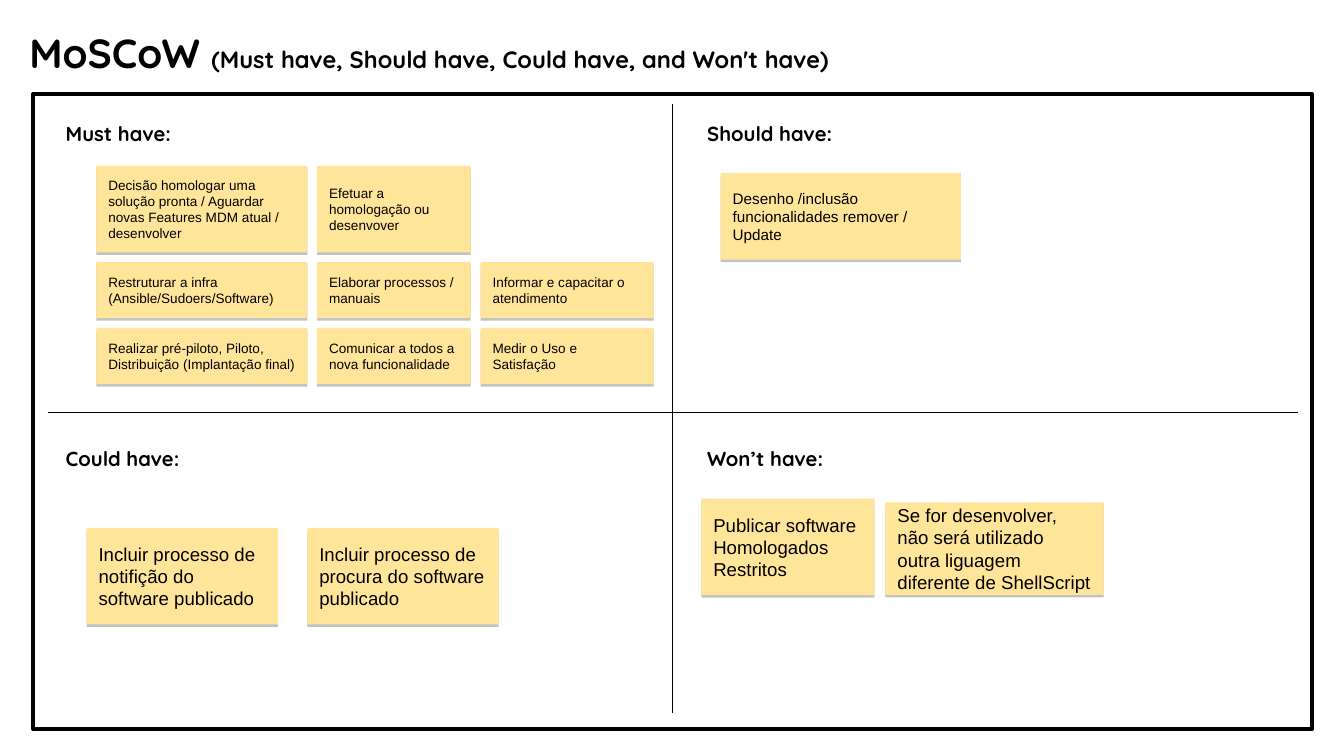
import pptx
import pptx.dml.color
import pptx.enum.shapes
import pptx.enum.text
import pptx.oxml
import pptx.util
from collections import namedtuple

BLACK = pptx.dml.color.RGBColor(0x00, 0x00, 0x00)
NOTE_YELLOW = pptx.dml.color.RGBColor(0xFF, 0xE5, 0x99)
SLIDE_WIDTH, SLIDE_HEIGHT = 11.02, 6.2
QUADRANT_COLUMNS, QUADRANT_ROWS = (0.44, 5.7), (0.89, 3.56)
QUADRANT_WIDTH, HEADING_HEIGHT = 4.81, 0.39

SHADOW_XML = (
    '<a:effectLst xmlns:a="http://schemas.openxmlformats.org/drawingml/2006/main">'
    '<a:outerShdw dist="19050" dir="5400000" algn="bl" rotWithShape="0">'
    '<a:srgbClr val="000000"><a:alpha val="24000"/></a:srgbClr>'
    '</a:outerShdw></a:effectLst>'
)
NO_EFFECT_XML = '<a:effectLst xmlns:a="http://schemas.openxmlformats.org/drawingml/2006/main"/>'

Box = namedtuple("Box", "left top width height")
# offset is measured from the quadrant's corner; rows hold one text per column
NoteGrid = namedtuple("NoteGrid", "offset widths heights gap size rows")

QUADRANTS = {
    "Must have:": [NoteGrid((0.35, 0.47), (1.73, 1.26, 1.42), (0.71, 0.46, 0.46), 0.08, 8, [
        ["Decisão homologar uma solução pronta / Aguardar novas Features MDM atual / desenvolver",
         "Efetuar a homologação ou desenvover"],
        ["Restruturar a infra (Ansible/Sudoers/Software)",
         "Elaborar processos / manuais",
         "Informar e capacitar o atendimento"],
        ["Realizar pré-piloto, Piloto, Distribuição (Implantação final)",
         "Comunicar a todos a nova funcionalidade",
         "Medir o Uso e Satisfação"],
    ])],
    "Should have:": [NoteGrid((0.21, 0.53), (1.97,), (0.71,), 0, 9, [
        ["Desenho /inclusão funcionalidades remover / Update"],
    ])],
    "Could have:": [NoteGrid((0.27, 0.77), (1.57, 1.57), (0.79,), 0.24, 11, [
        ["Incluir processo de notifição do software publicado",
         "Incluir processo de procura do software publicado"],
    ])],
    "Won’t have:": [
        NoteGrid((0.05, 0.53), (1.42,), (0.79,), 0, 11, [
            ["Publicar software Homologados Restritos"]]),
        NoteGrid((1.56, 0.56), (1.79,), (0.76,), 0, 11, [
            ["Se for desenvolver, não será utilizado outra liguagem diferente de ShellScript"]]),
    ],
}


def inches(lengths):
    return [pptx.util.Inches(length) for length in lengths]


def format_text(frame, inset, anchor, runs, **font_values):
    """Write (text, size) runs into the frame as one left-aligned paragraph."""
    frame.word_wrap = True
    frame.auto_size = pptx.enum.text.MSO_AUTO_SIZE.NONE
    frame.vertical_anchor = anchor
    for side in ("left", "top", "right", "bottom"):
        setattr(frame, "margin_" + side, pptx.util.Inches(inset))
    paragraph = frame.paragraphs[0]
    paragraph.alignment = pptx.enum.text.PP_ALIGN.LEFT
    for text, size in runs:
        run = paragraph.add_run()
        run.text = text
        run.font.size = pptx.util.Pt(size)
        run.font.color.rgb = BLACK
        for attribute, value in font_values.items():
            setattr(run.font, attribute, value)


def add_title(slide, box):
    title = slide.shapes.title
    title.left, title.top, title.width, title.height = inches(box)
    format_text(title.text_frame, 0.04, pptx.enum.text.MSO_ANCHOR.MIDDLE,
                [("MoSCoW ", 24),
                 ("(Must have, Should have, Could have, and Won't have)", 14)],
                name="Quicksand", bold=True)


def add_divider(slide, *ends):
    divider = slide.shapes.add_connector(
        pptx.enum.shapes.MSO_CONNECTOR.STRAIGHT, *inches(ends))
    divider.line.color.rgb = BLACK
    divider.line.width = pptx.util.Pt(0.75)
    divider._element.spPr.append(pptx.oxml.parse_xml(NO_EFFECT_XML))


def add_matrix_frame(slide, box):
    """Draw the border and the two lines that split it into quadrants."""
    border = slide.shapes.add_shape(
        pptx.enum.shapes.MSO_SHAPE.RECTANGLE, *inches(box))
    border.shadow.inherit = False
    border.fill.background()
    border.line.color.rgb = BLACK
    border.line.width = pptx.util.Pt(2.25)
    middle = box.left + box.width / 2
    center = box.top + box.height / 2 + 0.01
    add_divider(slide, box.left + 0.12, center, box.left + box.width - 0.12, center)
    add_divider(slide, middle, box.top + 0.08, middle, box.top + box.height - 0.13)


def add_note(slide, box, text, size):
    note = slide.shapes.add_shape(
        pptx.enum.shapes.MSO_SHAPE.RECTANGLE, *inches(box))
    note.fill.solid()
    note.fill.fore_color.rgb = NOTE_YELLOW
    note.line.fill.background()
    note._element.spPr.append(pptx.oxml.parse_xml(SHADOW_XML))
    format_text(note.text_frame, 0.1, pptx.enum.text.MSO_ANCHOR.MIDDLE,
                [(text, size)], name="Arial")


def add_note_grid(slide, corner, grid):
    top = corner.top + grid.offset[1]
    for texts, height in zip(grid.rows, grid.heights):
        left = corner.left + grid.offset[0]
        for text, width in zip(texts, grid.widths):
            add_note(slide, Box(left, top, width, height), text, grid.size)
            left += width + grid.gap
        top += height + grid.gap


def add_quadrant(slide, box, heading, grids):
    label = slide.shapes.add_textbox(*inches(box))
    format_text(label.text_frame, 0.1, pptx.enum.text.MSO_ANCHOR.TOP,
                [(heading, 12)], name="Quicksand", bold=True)
    for grid in grids:
        add_note_grid(slide, box, grid)


def main():
    deck = pptx.Presentation()
    deck.slide_width, deck.slide_height = inches((SLIDE_WIDTH, SLIDE_HEIGHT))
    slide = deck.slides.add_slide(deck.slide_layouts.get_by_name("Title Only"))
    add_title(slide, Box(0.2, 0.18, 9.23, 0.5))
    add_matrix_frame(slide, Box(0.27, 0.77, 10.49, 5.21))
    for index, (heading, grids) in enumerate(QUADRANTS.items()):
        row, column = divmod(index, len(QUADRANT_COLUMNS))
        box = Box(QUADRANT_COLUMNS[column], QUADRANT_ROWS[row],
                  QUADRANT_WIDTH, HEADING_HEIGHT)
        add_quadrant(slide, box, heading, grids)
    deck.save("out.pptx")


if __name__ == "__main__":
    main()
